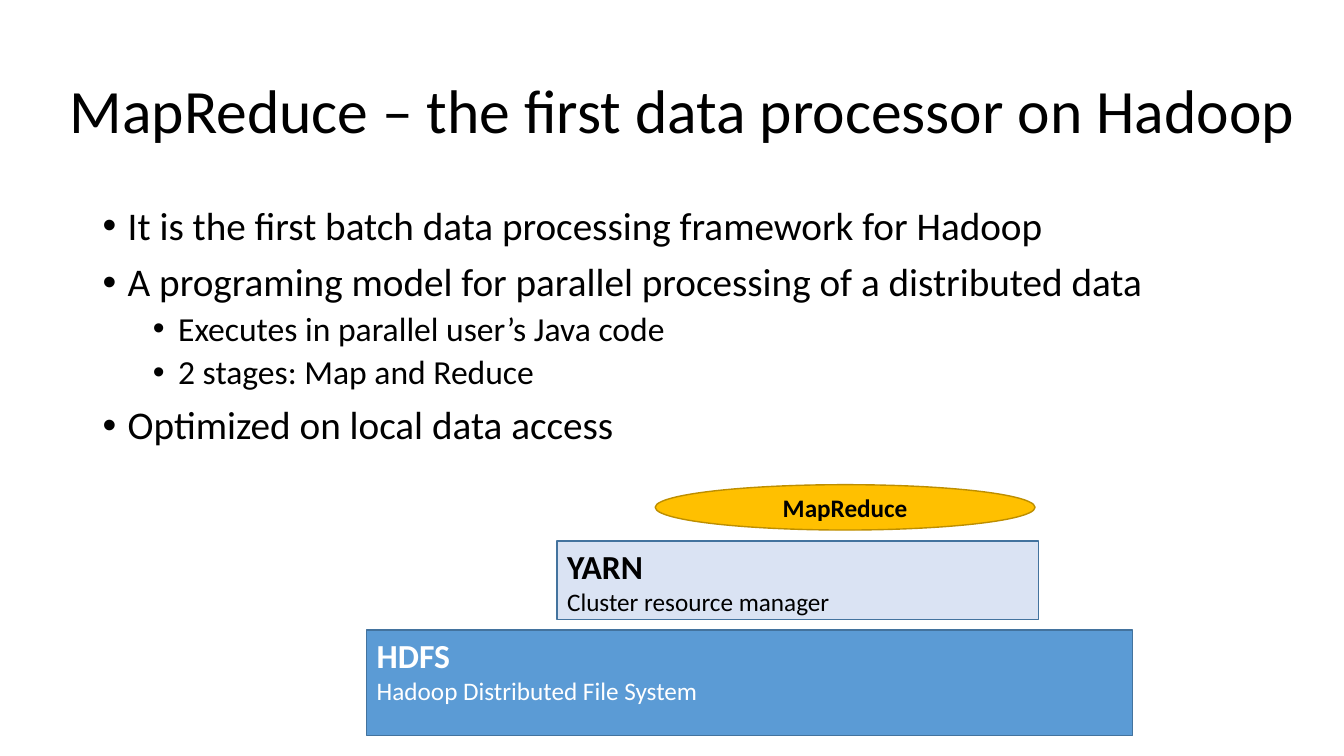
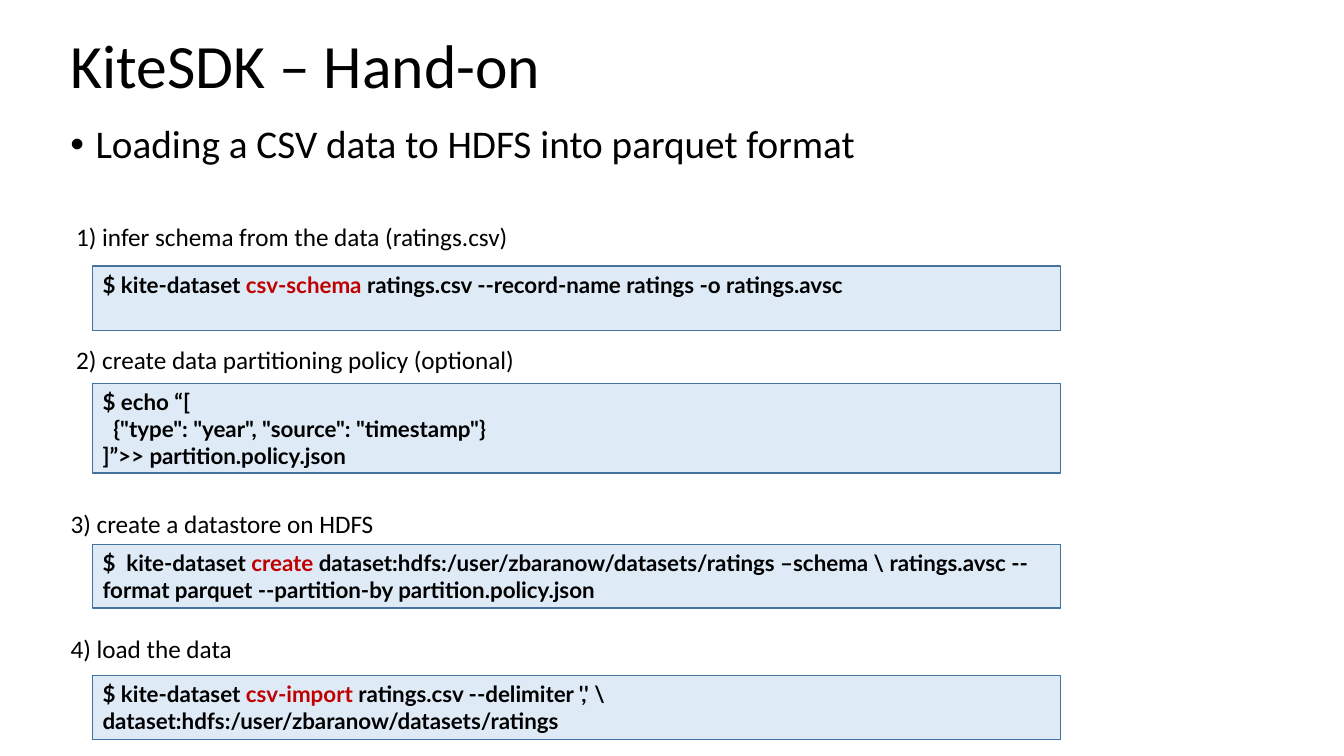
import dataclasses

import pptx
import pptx.dml.color
import pptx.enum.shapes
import pptx.enum.text
import pptx.oxml
import pptx.oxml.ns
import pptx.util

Pt = pptx.util.Pt
RGB = pptx.dml.color.RGBColor.from_string
Shape = pptx.enum.shapes.MSO_SHAPE
Anchor = pptx.enum.text.MSO_ANCHOR
Align = pptx.enum.text.PP_ALIGN


@dataclasses.dataclass(frozen=True)
class Theme:
    font: str = "Calibri"
    mono: str = "Lato"
    ink: str = "000000"
    white: str = "FFFFFF"
    red: str = "C00000"
    blue: str = "5B9BD5"
    pale: str = "DAE3F3"
    ice: str = "DEEBF7"
    gold: str = "FFC000"
    edge: str = "43739E"
    rim: str = "BD8E00"
    title: int = 44
    body: int = 28
    sub: int = 24
    note: int = 18
    code: int = 16
    tight: float = 0.9


THEME = Theme()

# Content: bullets are (level, text)
POINTS = [
    (0, "It is the first batch data processing framework for Hadoop"),
    (0, "A programing model for parallel processing of a distributed data"),
    (1, "Executes in parallel user’s Java code"),
    (1, "2 stages: Map and Reduce"),
    (0, "Optimized on local data access"),
]
GOALS = [(0, "Loading a CSV data to HDFS into parquet format")]

# Layers: box, fill, text colour, name, detail
LAYERS = [
    ((262, 450, 547, 75.6), THEME.blue, THEME.white,
     "HDFS", "Hadoop Distributed File System"),
    ((398, 386.6, 344, 56), THEME.pale, THEME.ink,
     "YARN", "Cluster resource manager"),
]
ENGINE = "MapReduce"

# Steps: caption, its left and middle, code top and height, code lines;
# each line is a list of (text, is keyword)
STEPS = [
    ("1) infer schema from the data (ratings.csv)", 54.4, 168.5, 190, 46, [
        [("$ kite-dataset ", False), ("csv-schema", True),
         (" ratings.csv --record-name ratings -o ratings.avsc", False)]]),
    ("2) create data partitioning policy (optional)", 54.4, 257, 273.8, 64, [
        [("$ echo “[", False)],
        [('  {"type": "year", "source": "timestamp"}', False)],
        [("]”>> partition.policy.json", False)]]),
    ("3) create a datastore on HDFS", 50.4, 374, 388.8, 45.6, [
        [("$  kite-dataset ", False), ("create ", True),
         ("dataset:hdfs:/user/zbaranow/datasets/ratings –schema \\ ratings.avsc "
          "--format parquet --partition-by partition.policy.json", False)]]),
    ("4) load the data", 50.4, 463, 482.4, 46, [
        [("$ kite-dataset ", False), ("csv-import", True),
         (" ratings.csv --delimiter ',' \\", False)],
        [("dataset:hdfs:/user/zbaranow/datasets/ratings", False)]]),
]
CODE_LEFT, CODE_WIDTH = 66.2, 691.2


def place(box):
    return [Pt(n) for n in box]


def add_run(para, text, size, color=THEME.ink, bold=False, font=THEME.font):
    run = para.add_run()
    run.text = text
    run.font.name = font
    run.font.size = Pt(size)
    run.font.bold = bold
    run.font.color.rgb = RGB(color)


def next_para(frame, index):
    return frame.paragraphs[0] if index == 0 else frame.add_paragraph()


def add_slide(deck, text, box):
    slide = deck.slides.add_slide(deck.slide_layouts[5])
    title = slide.shapes.title
    title.left, title.top, title.width, title.height = place(box)
    frame = title.text_frame
    frame.word_wrap = True
    frame.auto_size = pptx.enum.text.MSO_AUTO_SIZE.NONE
    frame.vertical_anchor = Anchor.MIDDLE
    para = frame.paragraphs[0]
    para.alignment = Align.LEFT
    para.line_spacing = THEME.tight
    add_run(para, text, THEME.title)
    return slide


def add_text(slide, box):
    frame = slide.shapes.add_textbox(*place(box)).text_frame
    frame.word_wrap = True
    return frame


def add_points(slide, points, box):
    frame = add_text(slide, box)
    for index, (level, text) in enumerate(points):
        para = next_para(frame, index)
        props = para._p.get_or_add_pPr()
        props.set("marL", str(Pt(18 + 36 * level)))
        props.set("indent", str(Pt(-18)))
        for tag, key, value in (("buFont", "typeface", "Arial"),
                                ("buChar", "char", "•")):
            mark = pptx.oxml.parse_xml(
                f'<a:{tag} {pptx.oxml.ns.nsdecls("a")} {key}="{value}"/>')
            props.append(mark)
        para.level = level
        para.line_spacing = THEME.tight
        if index:
            para.space_before = Pt(5 if level else 10)
        add_run(para, text, THEME.sub if level else THEME.body)


def add_block(slide, kind, box, fill, edge=THEME.edge, anchor=Anchor.TOP):
    block = slide.shapes.add_shape(kind, *place(box))
    block.shadow.inherit = False
    block.fill.solid()
    block.fill.fore_color.rgb = RGB(fill)
    block.line.color.rgb = RGB(edge)
    block.line.width = Pt(1)
    frame = block.text_frame
    frame.word_wrap = True
    frame.vertical_anchor = anchor
    return frame


def add_line(frame, index):
    para = next_para(frame, index)
    para.alignment = Align.LEFT
    return para


def build_stack(deck):
    slide = add_slide(deck, "MapReduce – the first data processor on Hadoop",
                      (42.5, 28.8, 893.5, 104.4))
    add_points(slide, POINTS, (66.2, 144, 828, 200))
    # Layers of the cluster, lowest first
    for box, fill, color, name, detail in LAYERS:
        frame = add_block(slide, Shape.RECTANGLE, box, fill)
        add_run(add_line(frame, 0), name, THEME.sub, color, True)
        add_run(add_line(frame, 1), detail, THEME.note, color)
    frame = add_block(slide, Shape.OVAL, (468, 346.2, 271.4, 32.4),
                      THEME.gold, THEME.rim, Anchor.MIDDLE)
    para = frame.paragraphs[0]
    para.alignment = Align.CENTER
    add_run(para, ENGINE, THEME.note, bold=True)


def build_steps(deck):
    slide = add_slide(deck, "KiteSDK – Hand-on", (43.2, -2.9, 828, 104.4))
    add_points(slide, GOALS, (43.2, 85.7, 782.6, 40))
    for caption, left, middle, top, height, lines in STEPS:
        # Caption
        frame = add_text(slide, (left, middle - 12, 500, 24))
        frame.margin_left = frame.margin_top = frame.margin_bottom = 0
        frame.vertical_anchor = Anchor.MIDDLE
        add_run(frame.paragraphs[0], caption, THEME.note)
        # Command
        frame = add_block(slide, Shape.RECTANGLE,
                          (CODE_LEFT, top, CODE_WIDTH, height), THEME.ice)
        for index, line in enumerate(lines):
            para = add_line(frame, index)
            for text, key in line:
                add_run(para, text, THEME.code,
                        THEME.red if key else THEME.ink, True, THEME.mono)


def main():
    deck = pptx.Presentation()
    deck.slide_width, deck.slide_height = Pt(960), Pt(540)
    build_stack(deck)
    build_steps(deck)
    deck.save("out.pptx")


if __name__ == "__main__":
    main()
